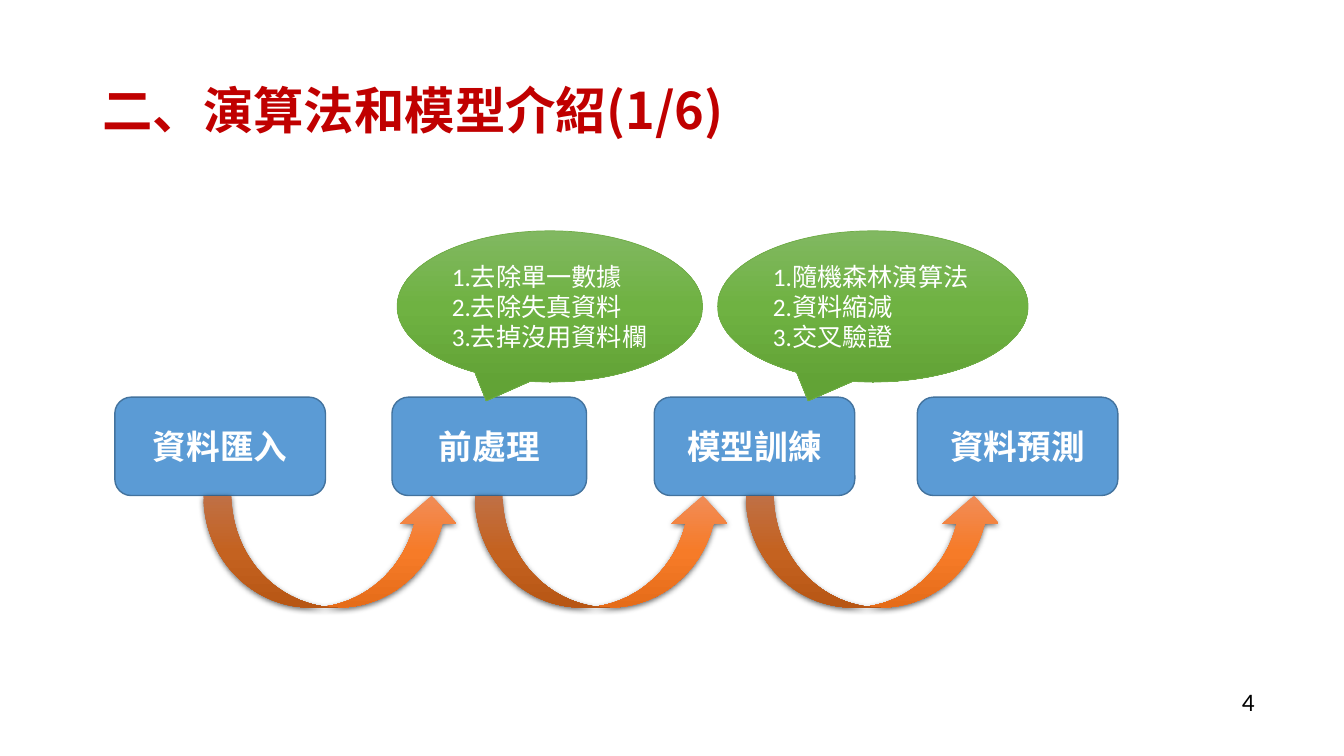
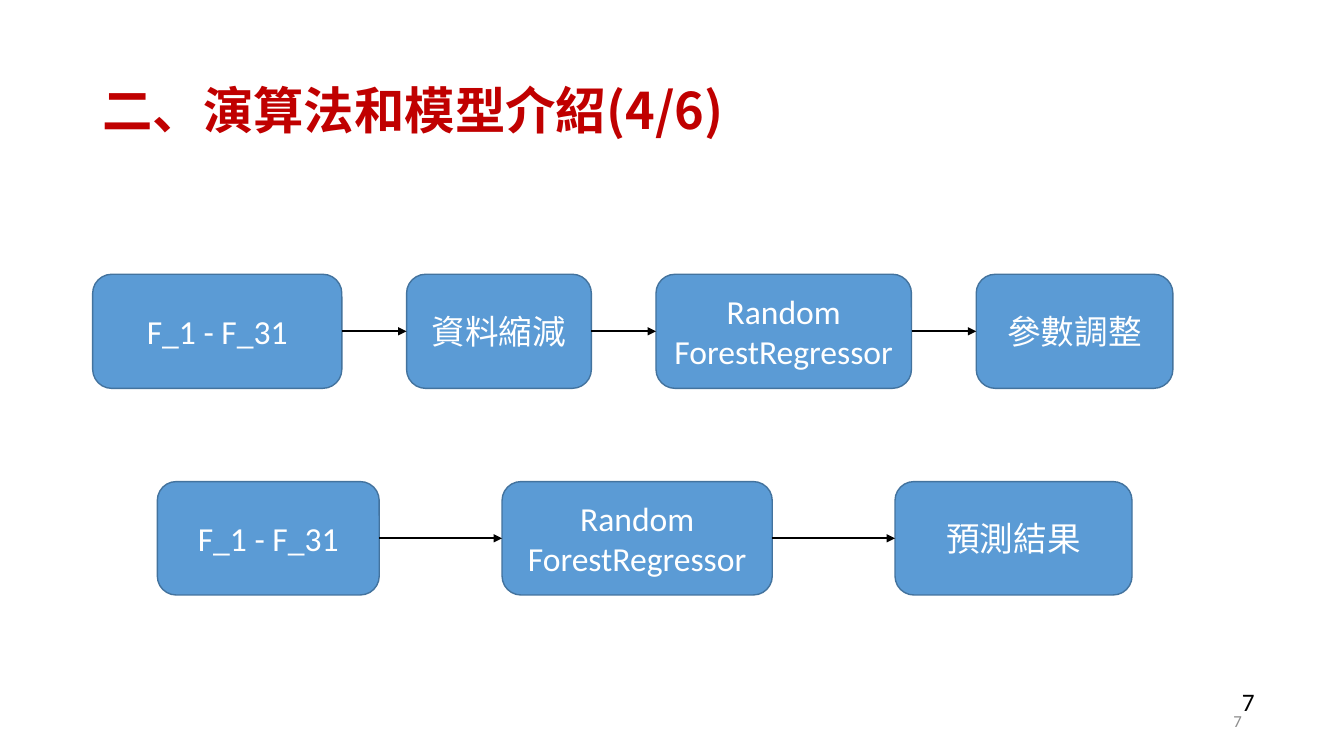
from copy import deepcopy
from pptx import Presentation
from pptx.dml.color import RGBColor
from pptx.enum.shapes import MSO_CONNECTOR as Link, MSO_SHAPE as Shape
from pptx.enum.text import MSO_ANCHOR as Anchor, PP_ALIGN as Align
from pptx.oxml import parse_xml
from pptx.oxml.ns import qn
from pptx.util import Pt

RED, WHITE, BLACK, GREY = "C00000", "FFFFFF", "000000", "8C8C8C"
BLUE, BLUE_EDGE, GREEN_EDGE = "5B9BD5", "43739E", "70AD47"
GREENS = ["81B861", "6FB242", "62A336"]
ORANGES = ["F18C57", "F67B28", "E56C19"]
CJK = "Noto Sans CJK SC"
NS = 'xmlns:a="http://schemas.openxmlformats.org/drawingml/2006/main"'
SHADOW = (f'<a:outerShdw {NS} blurRad="57150" dist="19050" dir="5400000" algn="ctr" '
          'rotWithShape="0"><a:srgbClr val="000000"><a:alpha val="63000"/></a:srgbClr></a:outerShdw>')
rgb = RGBColor.from_string


def write(target, text, size=24, color=WHITE, font="Calibri", bold=False,
          align=Align.CENTER, anchor=Anchor.MIDDLE, spacing=1.0):
    frame = target.text_frame
    frame.word_wrap = True
    frame.vertical_anchor = anchor
    frame.text = text
    for paragraph in frame.paragraphs:
        paragraph.alignment = align
        paragraph.line_spacing = spacing
        for run in paragraph.runs:
            run.font.name, run.font.size, run.font.bold = font, Pt(size), bold
            run.font.color.rgb = rgb(color)
            run.font._element.find(qn("a:latin")).addnext(
                parse_xml(f'<a:ea {NS} typeface="{CJK}"/>'))


def draw(slide, kind, left, top, width, height, fills, edge=None, edge_width=1):
    figure = slide.shapes.add_shape(kind, Pt(left), Pt(top), Pt(width), Pt(height))
    figure.shadow.inherit = False
    if len(fills) == 1:
        figure.fill.solid()
        figure.fill.fore_color.rgb = rgb(fills[0])
    else:
        figure.fill.gradient()
        figure.fill.gradient_angle = 270
        stops = figure._element.spPr.find(".//" + qn("a:gsLst"))
        stops.append(deepcopy(stops[0]))
        for i, stop in enumerate(figure.fill.gradient_stops):
            stop.position = i / 2
            stop.color.rgb = rgb(fills[i])
    if edge:
        figure.line.color.rgb = rgb(edge)
        figure.line.width = Pt(edge_width)
    else:
        figure.line.fill.background()
    return figure


prs = Presentation()
prs.slide_width, prs.slide_height = Pt(960), Pt(540)

slides = []
for part, page in [("1/6", "4"), ("4/6", "7")]:
    slide = prs.slides.add_slide(prs.slide_layouts[6])
    number = slide.shapes.add_textbox(Pt(880), Pt(486.7), Pt(61), Pt(29))
    write(number, page, size=18, color=BLACK, align=Align.LEFT, anchor=Anchor.TOP)
    title = slide.shapes.add_textbox(Pt(66), Pt(28.8), Pt(828), Pt(104.4))
    write(title, f"二、演算法和模型介紹({part})", size=36, color=RED, font=CJK,
          bold=True, align=Align.LEFT, spacing=0.9)
    slides.append(slide)
process, models = slides

for left, width, step in [(82, 150.5, "資料匯入"), (280, 139, "前處理"),
                          (467.3, 143.3, "模型訓練"), (655.2, 143.3, "資料預測")]:
    box = draw(process, Shape.ROUNDED_RECTANGLE, left, 283.7, width, 70.3, [BLUE], BLUE_EDGE)
    write(box, step, bold=True)

for i in range(3):
    arrow = draw(process, Shape.CURVED_UP_ARROW, 145.4 + i * 193.7, 354, 183, 80, ORANGES)
    arrow._element.spPr.find(qn("a:effectLst")).append(parse_xml(SHADOW))

for left, width, notes in [
        (283.7, 218.2, ["1.去除單一數據", "2.去除失真資料", "3.去掉沒用資料欄"]),
        (512.6, 221.8, ["1.隨機森林演算法", "2.資料縮減", "3.交叉驗證"])]:
    callout = draw(process, Shape.OVAL_CALLOUT, left, 164.9, width, 108, GREENS, GREEN_EDGE, 0.5)
    write(callout, "\n".join(notes), size=18, align=Align.LEFT)

small_number = models.shapes.add_textbox(Pt(678.2), Pt(500.4), Pt(216), Pt(28.8))
write(small_number, "7", size=12, color=GREY, align=Align.RIGHT)

FEATURES, FOREST = "F_1 - F_31", "Random ForestRegressor"
training = [(178, FEATURES), (132, "資料縮減"), (182.5, FOREST), (140.5, "參數調整")]
prediction = [(158.5, FEATURES), (193, FOREST), (169.3, "預測結果")]
for left, top, height, gap, flow in [(66.2, 195.9, 81.5, 46.2, training),
                                     (112.4, 344, 81, 87.7, prediction)]:
    previous = None
    for width, step in flow:
        box = draw(models, Shape.ROUNDED_RECTANGLE, left, top, width, height, [BLUE], BLUE_EDGE)
        write(box, step)
        if previous:
            link = models.shapes.add_connector(Link.STRAIGHT, 0, 0, 0, 0)
            link.begin_connect(previous, 3)
            link.end_connect(box, 1)
            link.line.color.rgb = rgb(BLACK)
            link.line.width = Pt(1.25)
            link.line._get_or_add_ln().append(parse_xml(f'<a:tailEnd {NS} type="triangle"/>'))
            link._element.spPr.append(parse_xml(f'<a:effectLst {NS}/>'))
        previous = box
        left += width + gap

prs.save("out.pptx")
